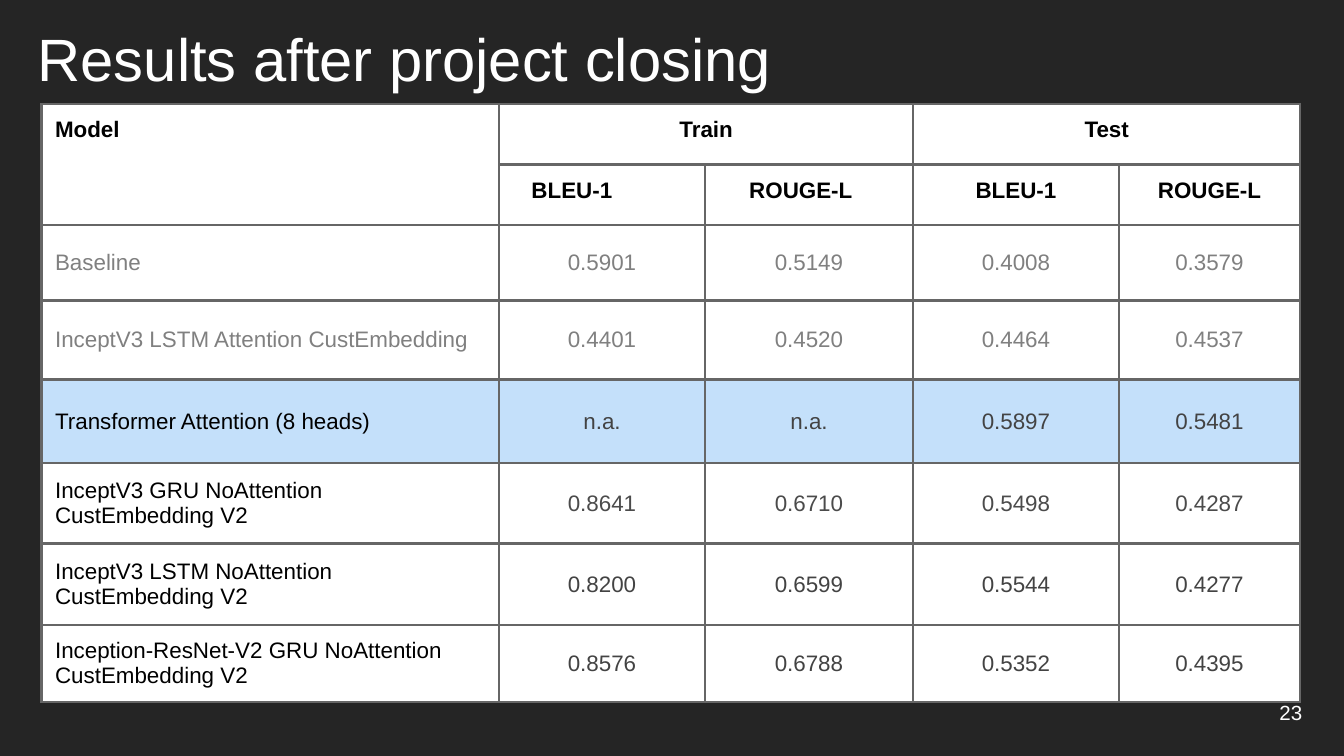
from dataclasses import dataclass
from lxml import etree
from pptx import Presentation, util as u
from pptx.dml.color import RGBColor
from pptx.enum import text as t
from pptx.oxml.ns import qn

PX = 4572  # 200 px to the inch


@dataclass(frozen=True)
class Theme:
    font: str = "Arial"
    back: str = "252525"
    white: str = "FFFFFF"
    black: str = "000000"
    grey: str = "808080"
    dark: str = "434343"
    soft: str = "4B4B4B"
    mark: str = "C4E0FA"
    rule: str = "666666"
    title: int = 32
    body: int = 12
    page: int = 11


T = Theme()
COLS = [681, 306, 310, 306, 270]
ROWS = [90, 90, 112, 118, 124, 120, 121, 113]

# Model, four scores, name colour, score colour, fill
DATA = [
    ("Baseline", "0.5901 0.5149 0.4008 0.3579", T.grey, T.grey, T.white),
    ("InceptV3 LSTM Attention CustEmbedding",
     "0.4401 0.4520 0.4464 0.4537", T.grey, T.grey, T.white),
    ("Transformer Attention (8 heads)",
     "n.a. n.a. 0.5897 0.5481", T.black, T.dark, T.mark),
    ("InceptV3 GRU NoAttention CustEmbedding V2",
     "0.8641 0.6710 0.5498 0.4287", T.black, T.soft, T.white),
    ("InceptV3 LSTM NoAttention CustEmbedding V2",
     "0.8200 0.6599 0.5544 0.4277", T.black, T.dark, T.white),
    ("Inception-ResNet-V2 GRU NoAttention CustEmbedding V2",
     "0.8576 0.6788 0.5352 0.4395", T.black, T.dark, T.white),
]


def px(n):
    return u.Emu(n * PX)


def place(shape, box):
    shape.left, shape.top, shape.width, shape.height = map(px, box)


def write(frame, words, size, color, align=t.PP_ALIGN.LEFT, bold=False):
    frame.text = words
    para = frame.paragraphs[0]
    para.alignment = align
    font = para.runs[0].font
    font.name, font.size, font.bold = T.font, u.Pt(size), bold
    font.color.rgb = RGBColor.from_string(color)


def trim(frame, anchor):
    frame.margin_left = frame.margin_right = 0
    frame.margin_top = frame.margin_bottom = 0
    frame.word_wrap = True
    frame.auto_size = t.MSO_AUTO_SIZE.NONE
    frame.vertical_anchor = anchor


def edge(cell):
    """Draw the four borders, which must come before the fill."""
    props = cell._tc.get_or_add_tcPr()
    for i, side in enumerate(("a:lnL", "a:lnR", "a:lnT", "a:lnB")):
        line = etree.Element(qn(side), w=str(u.Pt(1.5)))
        fill = etree.SubElement(line, qn("a:solidFill"))
        etree.SubElement(fill, qn("a:srgbClr"), val=T.rule)
        props.insert(i, line)


def style(cell, fill=T.white, inset=(20, 20), anchor=t.MSO_ANCHOR.TOP):
    side, top = map(px, inset)
    cell.margin_left = cell.margin_right = side
    cell.margin_top = cell.margin_bottom = top
    cell.vertical_anchor = anchor
    cell.fill.solid()
    cell.fill.fore_color.rgb = RGBColor.from_string(fill)
    edge(cell)


def head(grid):
    for row in range(2):
        for col in range(len(COLS)):
            style(grid.cell(row, col))
    grid.cell(0, 0).merge(grid.cell(1, 0))
    grid.cell(0, 1).merge(grid.cell(0, 2))
    grid.cell(0, 3).merge(grid.cell(0, 4))
    left, mid = t.PP_ALIGN.LEFT, t.PP_ALIGN.CENTER
    for row, col, words, align, inset in (
            (0, 0, "Model", left, 20), (0, 1, "Train", mid, 20),
            (0, 3, "Test", mid, 20), (1, 1, "BLEU-1", left, 48),
            (1, 2, "ROUGE-L", left, 66), (1, 3, "BLEU-1", mid, 20),
            (1, 4, "ROUGE-L", mid, 20)):
        cell = grid.cell(row, col)
        cell.margin_left = px(inset)
        write(cell.text_frame, words, T.body, T.black, align, True)


def scores(slide, box):
    grid = slide.shapes.add_table(
        len(ROWS), len(COLS), *map(px, box)).table
    for col, wide in zip(grid.columns, COLS):
        col.width = px(wide)
    for row, high in zip(grid.rows, ROWS):
        row.height = px(high)
    head(grid)
    # Model rows
    for row, (name, vals, ink, tone, fill) in enumerate(DATA, 2):
        for col, words in enumerate([name] + vals.split()):
            cell = grid.cell(row, col)
            inset = (20, 20) if col in (0, 4) else (6, 4)
            style(cell, fill, inset, t.MSO_ANCHOR.MIDDLE)
            align = t.PP_ALIGN.CENTER if col else t.PP_ALIGN.LEFT
            write(cell.text_frame, words, T.body, tone if col else ink, align)


def title(slide, box):
    shape = slide.shapes.title
    place(shape, box)
    trim(shape.text_frame, t.MSO_ANCHOR.TOP)
    write(shape.text_frame, "Results after project closing", T.title, T.white)
    shape.text_frame.paragraphs[0].line_spacing = 0.9


def number(slide, box):
    frame = slide.shapes.add_textbox(*map(px, box)).text_frame
    trim(frame, t.MSO_ANCHOR.MIDDLE)
    write(frame, "23", T.page, T.white, t.PP_ALIGN.RIGHT)


def main():
    deck = Presentation()
    deck.slide_width, deck.slide_height = px(2000), px(1125)
    slide = deck.slides.add_slide(deck.slide_layouts[5])
    slide.background.fill.solid()
    slide.background.fill.fore_color.rgb = RGBColor.from_string(T.back)
    title(slide, (56, 44, 1888, 88))
    scores(slide, (62, 155, sum(COLS), sum(ROWS)))
    number(slide, (1874, 1036, 64, 48))
    deck.save("out.pptx")


if __name__ == "__main__":
    main()
